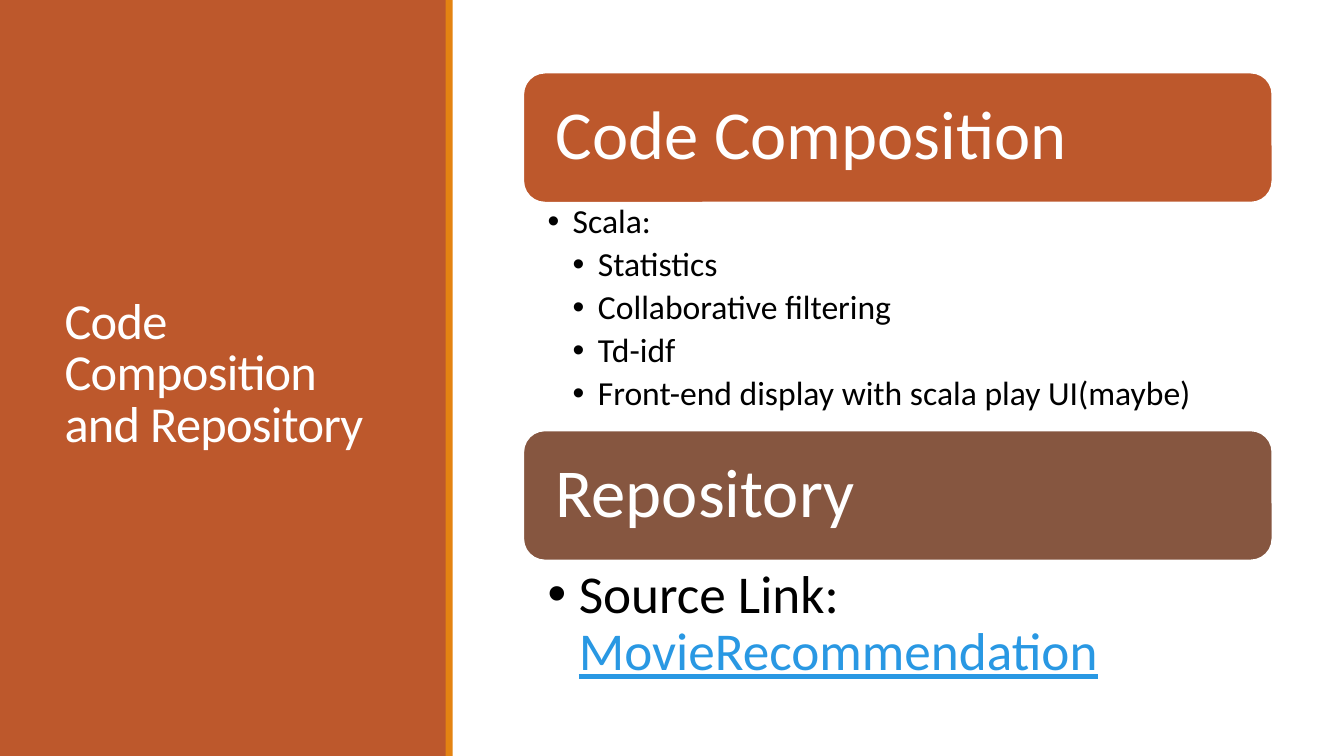
"""Builds the slide on code composition and repository."""
from dataclasses import dataclass

import pptx
import pptx.dml.color
import pptx.enum.shapes
import pptx.enum.text
import pptx.oxml.ns
import pptx.util
from lxml import etree
from pptx.util import Inches

Anchor = pptx.enum.text.MSO_ANCHOR
Shape = pptx.enum.shapes.MSO_SHAPE


@dataclass(frozen=True)
class Theme:
    font: str = "Calibri"
    rust: str = "BD582C"
    orange: str = "E48312"
    brown: str = "865640"
    white: str = "FFFFFF"
    black: str = "000000"
    link: str = "2998E3"
    title_size: int = 36
    heading_size: int = 49
    list_size: int = 24
    link_size: int = 38


class SlideBuilder:
    def __init__(self, page, theme):
        self.page = page
        self.theme = theme

    def color(self, value):
        return pptx.dml.color.RGBColor.from_string(value)

    def place(self, item, area):
        item.left, item.top, item.width, item.height = map(Inches, area)

    def frame(self, item, margins, anchor):
        frame = item.text_frame
        frame.word_wrap = True
        frame.auto_size = pptx.enum.text.MSO_AUTO_SIZE.NONE
        frame.vertical_anchor = anchor
        (frame.margin_left, frame.margin_top,
         frame.margin_right, frame.margin_bottom) = map(Inches, margins)
        return frame

    def spacing(self, para, line, after=0):
        para.alignment = pptx.enum.text.PP_ALIGN.LEFT
        para.line_spacing = line
        para.space_before = pptx.util.Pt(0)
        para.space_after = pptx.util.Pt(after)

    def span(self, para, text, size, color, underline=None):
        span = para.add_run()
        span.text = text
        span.font.name = self.theme.font
        span.font.size = pptx.util.Pt(size)
        span.font.color.rgb = self.color(color)
        span.font.underline = underline
        return span

    def title(self, text, area):
        title = self.page.shapes.title
        self.place(title, area)
        frame = self.frame(title, (0.1, 0.05, 0.1, 0.05), Anchor.MIDDLE)
        para = frame.paragraphs[0]
        self.spacing(para, 0.85)
        span = self.span(para, text, self.theme.title_size, self.theme.white)
        span.font._element.set("spc", "-50")

    def box(self, kind, area, fill):
        box = self.page.shapes.add_shape(kind, *map(Inches, area))
        box.shadow.inherit = False
        box.fill.solid()
        box.fill.fore_color.rgb = self.color(fill)
        box.line.fill.background()
        return box

    def backdrop(self, area, fill):
        panel = self.box(Shape.RECTANGLE, area, fill)
        self.page.shapes.title._element.addprevious(panel._element)

    def heading(self, text, area, fill):
        box = self.box(Shape.ROUNDED_RECTANGLE, area, fill)
        box.line.color.rgb = self.color(self.theme.white)
        box.line.width = pptx.util.Pt(1.25)
        frame = self.frame(box, (0.26, 0.2, 0.26, 0.2), Anchor.MIDDLE)
        para = frame.paragraphs[0]
        self.spacing(para, 0.9)
        self.span(para, text, self.theme.heading_size, self.theme.white)

    def bullets(self, index, items, area, margins, size, indent):
        body = self.page.placeholders[index]
        self.place(body, area)
        frame = self.frame(body, margins, Anchor.TOP)
        for number, (level, spans) in enumerate(items):
            para = frame.add_paragraph() if number else frame.paragraphs[0]
            para.level = level
            self.spacing(para, 0.9, size * 0.2)
            properties = para._p.get_or_add_pPr()
            properties.set("marL", str(Inches(indent * level)))
            properties.set("indent", str(Inches(-indent)))
            bullet = etree.SubElement(properties, pptx.oxml.ns.qn("a:buChar"))
            bullet.set("char", "•")
            for text, color, underline in spans:
                self.span(para, text, size, color, underline)


theme = Theme()
deck = pptx.Presentation()
deck.slide_width, deck.slide_height = Inches(13.33), Inches(7.5)
page = deck.slides.add_slide(deck.slide_layouts.get_by_name("Two Content"))
builder = SlideBuilder(page, theme)

builder.backdrop((0, 0, 4.43, 7.5), theme.rust)
builder.backdrop((4.42, 0, 0.07, 7.5), theme.orange)
builder.title("Code Composition and Repository", (0.54, 0.57, 3.37, 6.31))

left, width, heading_height = 5.19, 7.43, 1.29
headings = [("Code Composition", 0.72, theme.rust),
            ("Repository", 4.27, theme.brown)]
for text, top, fill in headings:
    builder.heading(text, (left, top, width, heading_height), fill)

topics = [(1, "Scala:"), (2, "Statistics"), (2, "Collaborative filtering"),
          (2, "Td-idf"), (2, "Front-end display with scala play UI(maybe)")]
code_items = [(level, [(text, theme.black, None)]) for level, text in topics]
repository_items = [(1, [("Source Link: ", theme.black, None),
                         ("MovieRecommendation", theme.link, True)])]
builder.bullets(1, code_items, (left, 2, width, 2.27),
                (0.24, 0.03, 0.19, 0.03), theme.list_size, 0.25)
builder.bullets(2, repository_items, (left, 5.56, width, 1.3),
                (0.24, 0.07, 0.38, 0.07), theme.link_size, 0.31)

deck.save("out.pptx")
